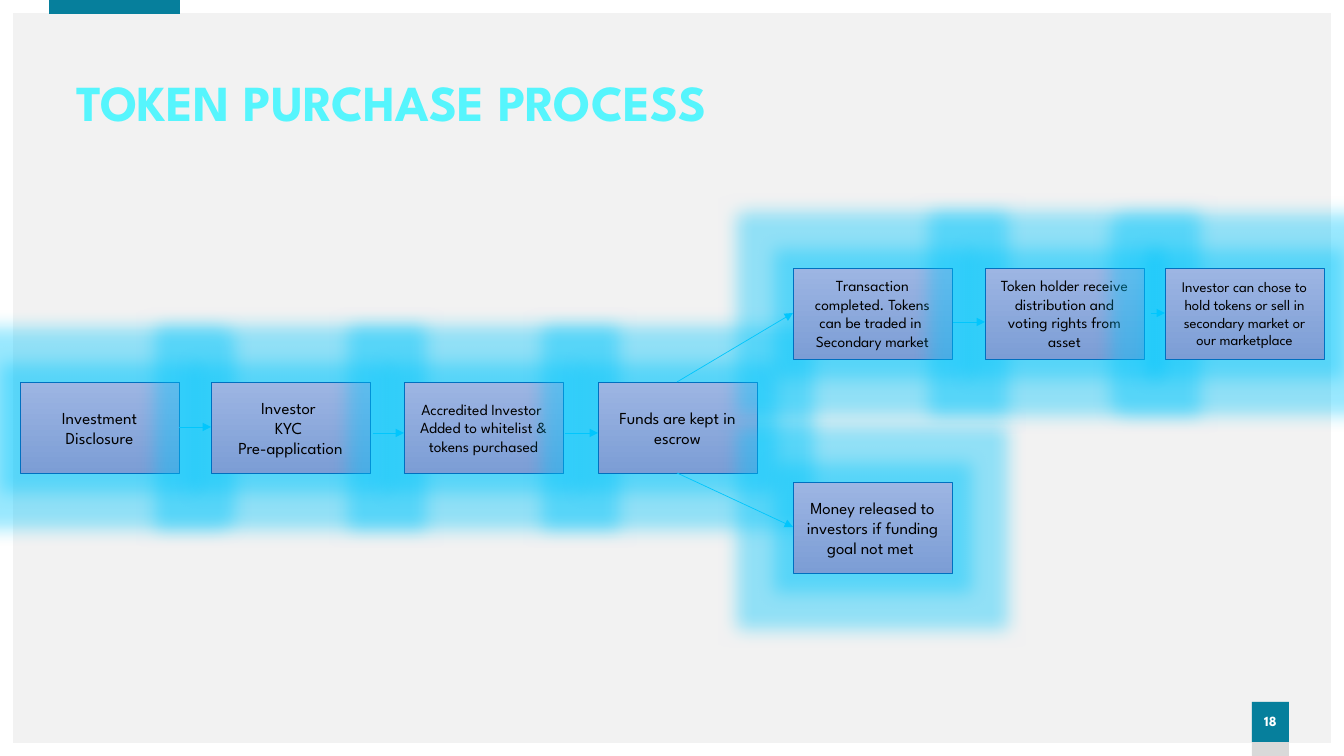
import lxml.etree
import pptx
import pptx.dml.color
import pptx.enum.dml
import pptx.enum.shapes
import pptx.enum.text
import pptx.oxml
import pptx.oxml.ns
import pptx.util

SCALE = 914400 / 100.8
FONT = "League Spartan"
COLORS = {
    "background": "F2F2F2", "white": "FFFFFF", "teal": "067F9C", "grey": "D9D9D9",
    "title": "56F5FD", "box_top": "9DB5E3", "box_bottom": "7C9DD5",
    "border": "0070C0", "text": "000000", "glow": "01C6FD",
}
SHAPES = pptx.enum.shapes.MSO_SHAPE
ALIGN = pptx.enum.text.PP_ALIGN
MIDDLE = pptx.enum.text.MSO_ANCHOR.MIDDLE
BOX_WIDTH, BOX_HEIGHT = 159, 91
GLOW_RADIUS = 37
STEPS = [
    (20, 382, 12, ["Investment Disclosure"]),
    (211, 382, 12, ["Investor ", "KYC ", "Pre-application"]),
    (404, 382, 11, ["Accredited Investor ", "Added to whitelist & tokens purchased"]),
    (598, 382, 12, ["Funds are kept in escrow"]),
    (793, 268, 11, ["Transaction completed. Tokens can be traded in ", "Secondary market"]),
    (793, 482, 12, ["Money released to investors if funding goal not met "]),
    (985, 268, 11, ["Token holder receive distribution and voting rights from asset"]),
    (1165, 268, 10.5, ["Investor can chose to hold tokens or sell in secondary market or our marketplace"]),
]
ARROWS = [
    (179, 427, 211, 427), (373, 433, 404, 433), (565, 433, 598, 433),
    (677, 382, 793, 313), (677, 473, 793, 527),
    (953, 322, 985, 322), (1151, 313, 1165, 313),
]


def px(length):
    """Turn pixels into EMU."""
    return pptx.util.Emu(round(length * SCALE))


def color(name):
    """Look up a named colour."""
    return pptx.dml.color.RGBColor.from_string(COLORS[name])


def set_all(target, values):
    """Set every attribute in a dict of format values."""
    for name, value in values.items():
        setattr(target, name, value)


def write(shape, lines, size, color_name, frame_format, paragraph_format, bold=False):
    """Write formatted paragraphs into a shape."""
    frame = shape.text_frame
    frame.text = "\n".join(lines)
    set_all(frame, {"word_wrap": True, "vertical_anchor": MIDDLE, **frame_format})
    for paragraph in frame.paragraphs:
        set_all(paragraph, paragraph_format)
        for run in paragraph.runs:
            set_all(run.font, {"name": FONT, "size": pptx.util.Pt(size), "bold": bold})
            run.font.color.rgb = color(color_name)


def add_block(slide, kind, box, fill):
    """Add a plain filled shape without outline or shadow."""
    shape = slide.shapes.add_shape(kind, *map(px, box))
    shape.shadow.inherit = False
    shape.fill.solid()
    shape.fill.fore_color.rgb = color(fill)
    shape.line.fill.background()
    return shape


def add_backdrop(slide, box):
    """Draw the white frame and the top tab."""
    left, top, width, height = box
    slide.background.fill.solid()
    slide.background.fill.fore_color.rgb = color("background")
    border = add_block(slide, SHAPES.FRAME, box, "white")
    border.adjustments[0] = 0.017
    add_block(slide, SHAPES.RECTANGLE, (left + 49, top, 131, 14), "teal")


def add_page_number(slide, box, number):
    """Draw the page number on its tab."""
    left, top, width, height = box
    add_block(slide, SHAPES.RECTANGLE, box, "grey")
    tab = add_block(slide, SHAPES.RECTANGLE, (left, top, width, 40), "teal")
    write(tab, [number], 10, "white", {"margin_left": 0, "margin_right": 0},
          {"alignment": ALIGN.CENTER, "line_spacing": 0.9}, bold=True)


def add_title(slide, box, text):
    """Fill and place the title placeholder."""
    title = slide.shapes.title
    set_all(title, dict(zip(("left", "top", "width", "height"), map(px, box))))
    write(title, [text], 36, "title", {"auto_size": pptx.enum.text.MSO_AUTO_SIZE.NONE},
          {"alignment": ALIGN.LEFT, "line_spacing": 0.9}, bold=True)


def add_glow(shape):
    """Give a shape a translucent halo."""
    shape.shadow.inherit = False
    effects = shape._element.spPr.find(pptx.oxml.ns.qn("a:effectLst"))
    glow = lxml.etree.SubElement(effects, pptx.oxml.ns.qn("a:glow"), rad=str(px(GLOW_RADIUS)))
    tint = lxml.etree.SubElement(glow, pptx.oxml.ns.qn("a:srgbClr"), val=COLORS["glow"])
    lxml.etree.SubElement(tint, pptx.oxml.ns.qn("a:alpha"), val="40000")


def add_step(slide, box, size, lines):
    """Draw one glowing process step."""
    shape = slide.shapes.add_shape(SHAPES.RECTANGLE, *map(px, box))
    shape.fill.gradient()
    shape.fill.gradient_angle = 270
    for stop, name in zip(shape.fill.gradient_stops, ("box_top", "box_bottom")):
        stop.color.rgb = color(name)
    for stop, position in zip(shape.fill.gradient_stops, (0, 1)):
        stop.position = position
    shape.line.color.rgb = color("border")
    shape.line.width = pptx.util.Pt(0.5)
    add_glow(shape)
    write(shape, lines, size, "text", {}, {"alignment": ALIGN.CENTER})


def add_arrow(slide, ends):
    """Draw a thin arrow between two points."""
    arrow = slide.shapes.add_connector(pptx.enum.shapes.MSO_CONNECTOR.STRAIGHT, *map(px, ends))
    arrow.line.color.rgb = color("glow")
    arrow.line.width = pptx.util.Pt(0.5)
    line = arrow.line._get_or_add_ln()
    lxml.etree.SubElement(line, pptx.oxml.ns.qn("a:tailEnd"), type="triangle")
    lxml.etree.SubElement(arrow._element.spPr, pptx.oxml.ns.qn("a:effectLst"))


def add_process(slide, box):
    """Lay out the steps and arrows inside the given box."""
    left, top, width, height = box
    for x, y, size, lines in STEPS:
        add_step(slide, (left + x, top + y, BOX_WIDTH, BOX_HEIGHT), size, lines)
    for x1, y1, x2, y2 in ARROWS:
        add_arrow(slide, (left + x1, top + y1, left + x2, top + y2))


def main():
    """Build and save the presentation."""
    presentation = pptx.Presentation()
    set_all(presentation, {"slide_width": px(1344), "slide_height": px(756)})
    slide = presentation.slides.add_slide(presentation.slide_layouts[5])
    add_backdrop(slide, (0, 0, 1344, 756))
    add_page_number(slide, (1252, 702, 37, 54), "18")
    add_title(slide, (66, 72, 1232, 66), "TOKEN PURCHASE PROCESS")
    add_process(slide, (0, 0, 1344, 756))
    presentation.save("out.pptx")


if __name__ == "__main__":
    main()
